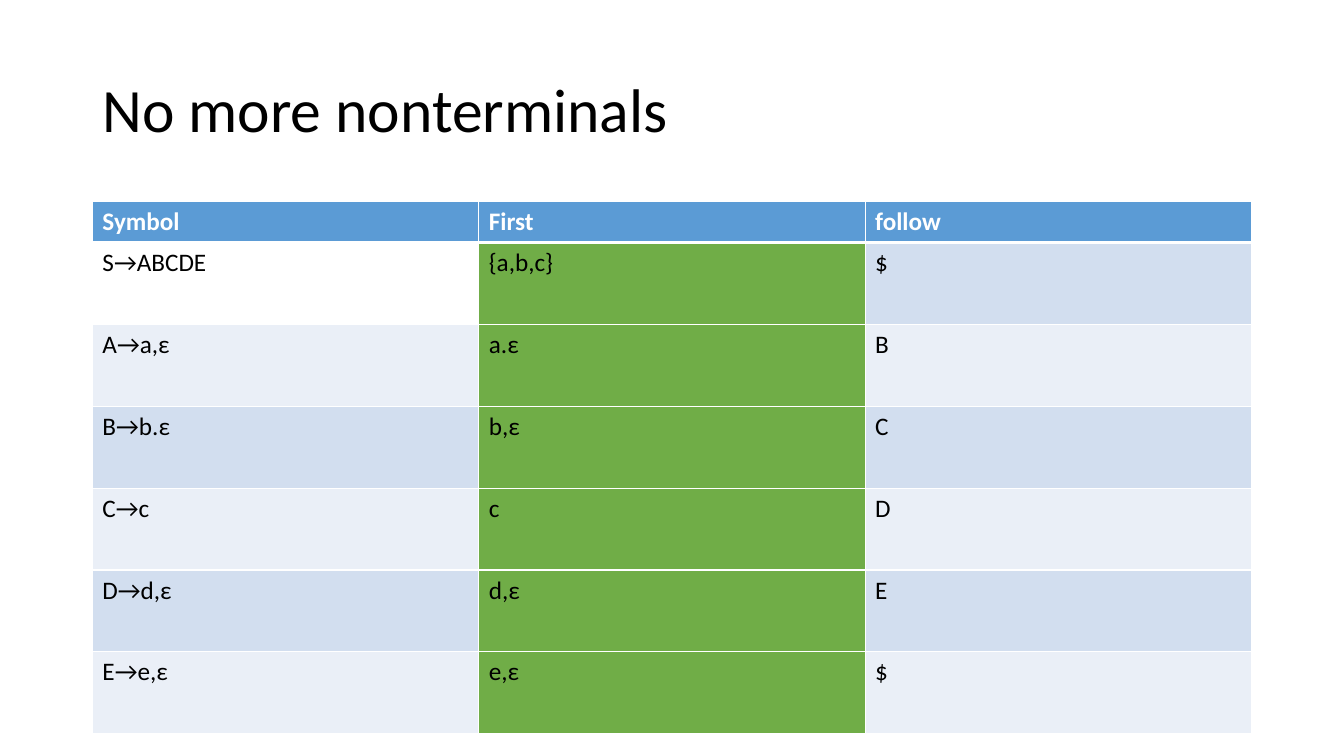
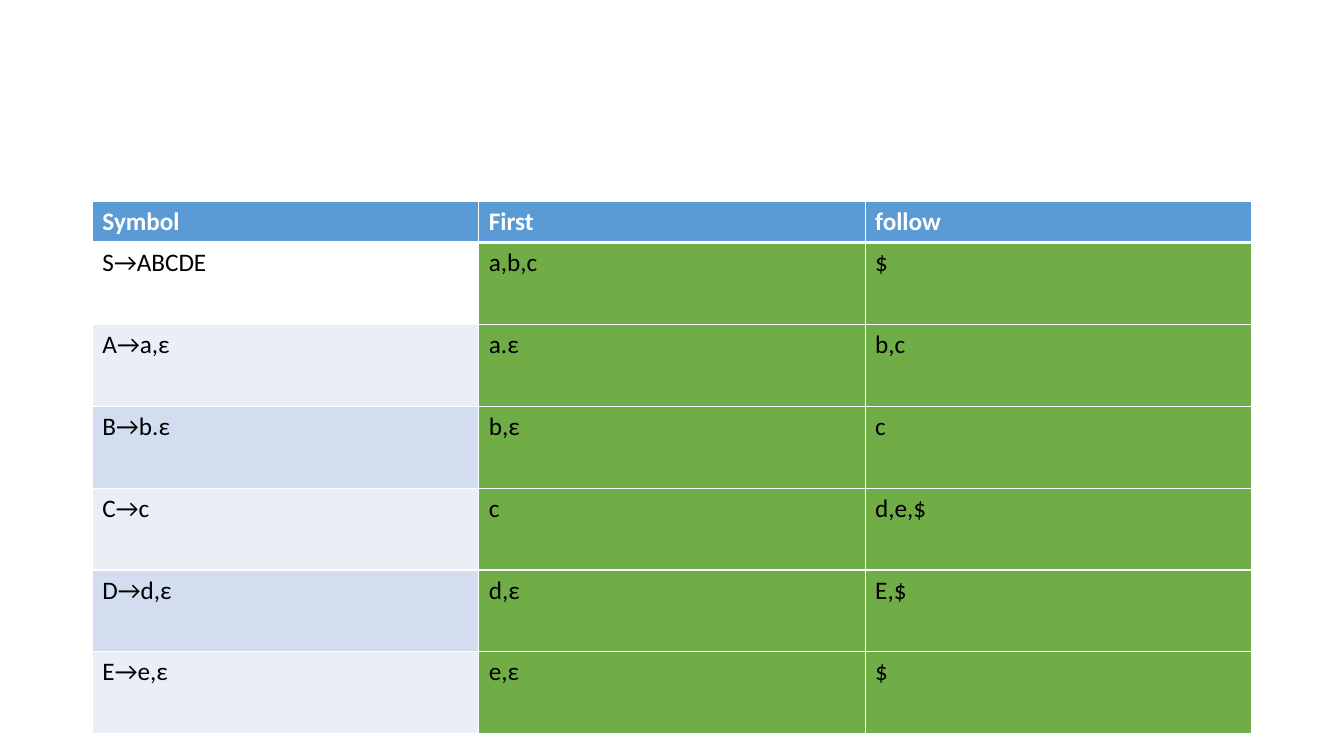
from lxml import etree
from pptx import Presentation
from pptx.dml.color import RGBColor
from pptx.enum.text import MSO_ANCHOR, PP_ALIGN
from pptx.oxml.ns import qn
from pptx.util import Pt

EMU_PER_PX = 9525
SLIDE_SIZE = (1280, 720)
TITLE_ONLY, BLANK = 5, 6
LEFT = PP_ALIGN.LEFT
MIDDLE = MSO_ANCHOR.MIDDLE

FONT = "Calibri"
BLACK, WHITE = "000000", "FFFFFF"
HEADER_BLUE = "5B9BD5"
BANDS = ("D2DEEF", "EAEFF7")
DONE_GREEN = "70AD47"

MARGIN, CONTENT_WIDTH = 88, 1104
TITLE_TOP, TITLE_HEIGHT = 38, 139
TABLE_TOP, HEADER_HEIGHT, ROW_HEIGHT = 192, 39, 78

HEADINGS = ("Symbol", "First", "follow")
PRODUCTIONS = ("S→ABCDE", "A→a,ε", "B→b.ε", "C→c", "D→d,ε", "E→e,ε")
FIRST_SETS = ("a.ε", "b,ε", "c", "d,ε", "e,ε")


def px(length):
    return length * EMU_PER_PX


def color(hex_code):
    return RGBColor.from_string(hex_code)


def add_run(paragraph, text, size, hex_code, bold=False):
    run = paragraph.add_run()
    run.text = text
    run.font.name = FONT
    run.font.size = Pt(size)
    run.font.bold = bold
    run.font.color.rgb = color(hex_code)


def set_title(slide, text):
    title = slide.shapes.title
    title.left, title.top = px(MARGIN), px(TITLE_TOP)
    title.width, title.height = px(CONTENT_WIDTH), px(TITLE_HEIGHT)
    frame = title.text_frame
    frame.word_wrap = True
    frame.vertical_anchor = MIDDLE
    paragraph = frame.paragraphs[0]
    paragraph.alignment = LEFT
    paragraph.line_spacing = 0.9
    add_run(paragraph, text, 44, BLACK)


def add_borders(cell, top, bottom):
    """Draw white cell borders; top and bottom widths are in points."""
    properties = cell._tc.get_or_add_tcPr()
    for side, width in (("L", 1), ("R", 1), ("T", top), ("B", bottom)):
        line = etree.SubElement(properties, qn(f"a:ln{side}"), w=str(Pt(width)))
        fill = etree.SubElement(line, qn("a:solidFill"))
        etree.SubElement(fill, qn("a:srgbClr"), val=WHITE)


def body_fill(row, column, done_columns):
    """Return the fill of a body cell, or None for the open start symbol."""
    if column in done_columns:
        return DONE_GREEN
    if (row, column) == (1, 0):
        return None
    return BANDS[(row - 1) % len(BANDS)]


def format_cell(cell, text, row, fill):
    is_header = row == 0
    add_borders(cell, top=3 if row == 1 else 1, bottom=3 if is_header else 1)
    if fill:
        cell.fill.solid()
        cell.fill.fore_color.rgb = color(fill)
    else:
        cell.fill.background()
    add_run(cell.text_frame.paragraphs[0], text, 18,
            WHITE if is_header else BLACK, bold=is_header)


def add_set_table(slide, first_sets, follow_sets, done_columns):
    """Add the First/follow table, with the finished columns in green."""
    rows = [HEADINGS, *zip(PRODUCTIONS, first_sets, follow_sets)]
    height = HEADER_HEIGHT + ROW_HEIGHT * len(PRODUCTIONS)
    table = slide.shapes.add_table(
        len(rows), len(HEADINGS), px(MARGIN), px(TABLE_TOP),
        px(CONTENT_WIDTH), px(height)).table
    table.horz_banding = False
    for column in table.columns:
        column.width = px(CONTENT_WIDTH // len(HEADINGS))
    for r, texts in enumerate(rows):
        table.rows[r].height = px(ROW_HEIGHT if r else HEADER_HEIGHT)
        for c, text in enumerate(texts):
            fill = body_fill(r, c, done_columns) if r else HEADER_BLUE
            format_cell(table.cell(r, c), text, r, fill)


def main():
    deck = Presentation()
    deck.slide_width, deck.slide_height = map(px, SLIDE_SIZE)

    first_done = deck.slides.add_slide(deck.slide_layouts[TITLE_ONLY])
    set_title(first_done, "No more nonterminals")
    add_set_table(first_done, ("{a,b,c}", *FIRST_SETS),
                  ("$", "B", "C", "D", "E", "$"), done_columns=(1,))

    follow_done = deck.slides.add_slide(deck.slide_layouts[BLANK])
    add_set_table(follow_done, ("a,b,c", *FIRST_SETS),
                  ("$", "b,c", "c", "d,e,$", "E,$", "$"), done_columns=(1, 2))

    deck.save("out.pptx")


if __name__ == "__main__":
    main()
